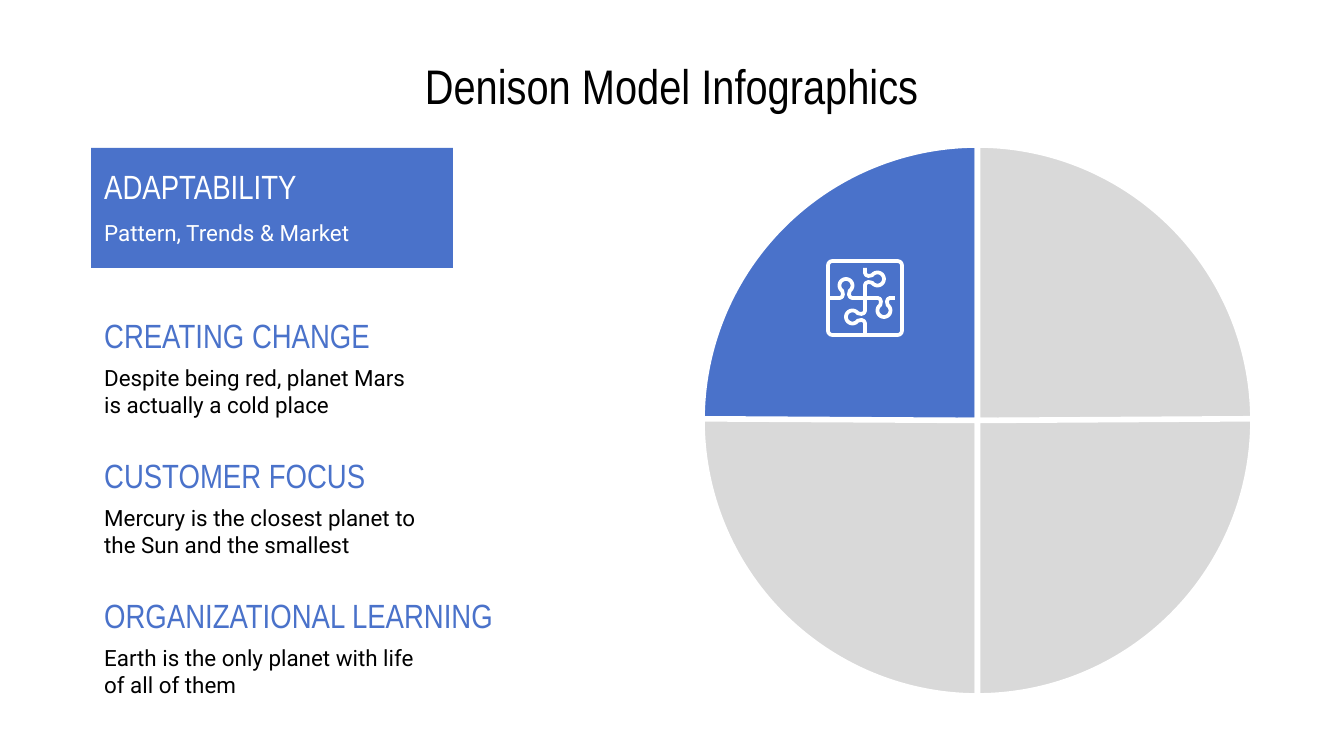
from math import cos, radians, sin

from pptx import Presentation
from pptx.dml.color import RGBColor
from pptx.enum.shapes import MSO_SHAPE as Shape
from pptx.enum.text import MSO_ANCHOR as Anchor, PP_ALIGN as Align
from pptx.util import Inches, Pt

PX = Inches(10) / 1344

BLUE = RGBColor(0x4A, 0x72, 0xCA)
GREY = RGBColor(0xD9, 0xD9, 0xD9)
WHITE = RGBColor(0xFF, 0xFF, 0xFF)
BLACK = RGBColor(0x00, 0x00, 0x00)

TITLE = {"name": "Arial Narrow", "size": Pt(26)}
HEADING = {"name": "Arial Narrow", "size": Pt(18)}
BODY = {"name": "Roboto", "size": Pt(12)}


def px(*lengths):
    return [round(length * PX) for length in lengths]


def add_text(page, area, text, style, color, anchor=Anchor.TOP, align=Align.LEFT):
    box = page.shapes.add_textbox(*px(*area))
    frame = box.text_frame
    margins = {f"margin_{side}": Inches(0.1) for side in ("left", "top", "right", "bottom")}
    for key, value in {"word_wrap": True, "vertical_anchor": anchor, **margins}.items():
        setattr(frame, key, value)
    para = frame.paragraphs[0]
    para.alignment = align
    span = para.add_run()
    span.text = text
    for key, value in style.items():
        setattr(span.font, key, value)
    span.font.color.rgb = color


deck = Presentation()
deck.slide_width, deck.slide_height = px(1344, 756)
page = deck.slides.add_slide(deck.slide_layouts[6])

# Title
add_text(page, (67, 60, 1210, 50), "Denison Model Infographics", TITLE, BLACK,
         Anchor.MIDDLE, Align.CENTER)

# Circle of four quarters: start angle, end angle, fill
quarters = [
    (179.65, 270, BLUE),
    (270, 0.35, GREY),
    (90, 180.35, GREY),
    (359.65, 90, GREY),
]
for start, end, color in quarters:
    quarter = page.shapes.add_shape(Shape.PIE, *px(702, 145, 551, 551))
    quarter.shadow.inherit = False
    # Preset angles are 60000ths of a degree, adjustments are 100000ths
    quarter.adjustments[0] = start * 0.6
    quarter.adjustments[1] = end * 0.6
    quarter.fill.solid()
    quarter.fill.fore_color.rgb = color
    quarter.line.color.rgb = WHITE
    quarter.line.width = Pt(3)

# Highlighted banner
banner = page.shapes.add_shape(Shape.RECTANGLE, *px(91, 148, 362, 120))
banner.shadow.inherit = False
banner.fill.solid()
banner.fill.fore_color.rgb = BLUE
banner.line.fill.background()
add_text(page, (91, 159, 253, 55), "ADAPTABILITY", HEADING, WHITE, Anchor.MIDDLE)
add_text(page, (91, 206, 343, 50), "Pattern, Trends & Market", BODY, WHITE)

# Headings with descriptions
topics = [
    ("CREATING CHANGE", "Despite being red, planet Mars is actually a cold place"),
    ("CUSTOMER FOCUS", "Mercury is the closest planet to the Sun and the smallest"),
    ("ORGANIZATIONAL LEARNING", "Earth is the only planet with life of all of them"),
]
for row, (heading, description) in enumerate(topics):
    top = 308 + 140 * row
    add_text(page, (91, top, 492, 55), heading, HEADING, BLUE, Anchor.MIDDLE)
    add_text(page, (91, top + 43, 343, 109), description, BODY, BLACK)

# Puzzle icon: a rounded frame, and four seams turned about its centre
frame = page.shapes.add_shape(Shape.ROUNDED_RECTANGLE, *px(828, 261, 74, 74))
frame.adjustments[0] = 0.06

CENTER_X, CENTER_Y = 865, 298
knob = [(19 + 6.5 * sin(radians(turn)), 12.5 - 6.5 * cos(radians(turn)))
        for turn in range(-35, -326, -10)]
seam = [(0, 0), (13, 0), (15, 1), (16, 3.5), *knob, (22, 3.5), (23, 1), (25, 0)]
builder = page.shapes.build_freeform(*px(CENTER_X, CENTER_Y), scale=1.0)
for dx, dy, reach in [(0, -1, 30), (1, 0, 30), (0, 1, 36), (-1, 0, 36)]:
    points = [px(CENTER_X + along * dx - aside * dy, CENTER_Y + along * dy + aside * dx)
              for along, aside in seam + [(reach, 0)]]
    builder.move_to(*points[0])
    builder.add_line_segments(points[1:], close=False)
seams = builder.convert_to_shape()

for part in (frame, seams):
    part.shadow.inherit = False
    part.fill.background()
    part.line.color.rgb = WHITE
    part.line.width = Pt(2)

deck.save("out.pptx")
